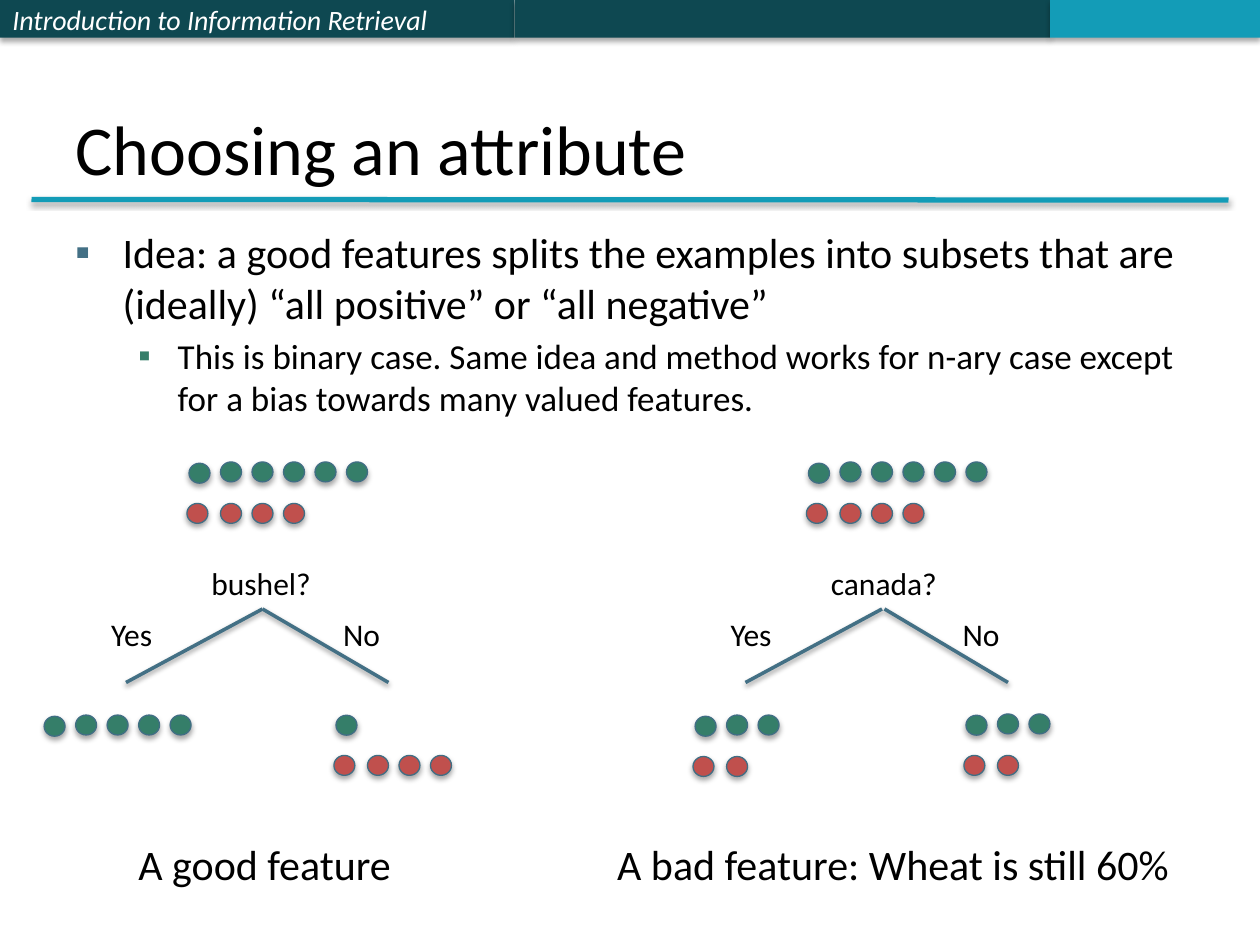
import pptx
import pptx.dml.color
import pptx.enum.shapes
import pptx.enum.text
import pptx.oxml
import pptx.oxml.ns
import pptx.util

ANCHOR = pptx.enum.text.MSO_ANCHOR
SHAPE = pptx.enum.shapes.MSO_SHAPE
COLORS = {
    "header": "0E4851",
    "accent": "139CB7",
    "positive": "357E69",
    "negative": "C0504D",
    "outline": "406E84",
    "branch": "437085",
    "text": "000000",
    "light": "FFFFFF",
}


class SlideBuilder:
    font_name = "Calibri"
    columns = 120
    rows = 90

    def __init__(self, deck):
        self.deck = deck
        self.page = deck.slides.add_slide(deck.slide_layouts[6])

    def x(self, column):
        return round(self.deck.slide_width * column / self.columns)

    def y(self, row):
        return round(self.deck.slide_height * row / self.rows)

    def frame(self, column, row, width, height):
        return self.x(column), self.y(row), self.x(width), self.y(height)

    def color(self, name):
        return pptx.dml.color.RGBColor.from_string(COLORS[name])

    def element(self, parent, tag, **attributes):
        child = pptx.oxml.parse_xml(f"<a:{tag} {pptx.oxml.ns.nsdecls('a')}/>")
        for key, value in attributes.items():
            child.set(key, str(value))
        parent.append(child)
        return child

    def shadow(self, effects, distance, opacity):
        outer = self.element(
            effects, "outerShdw", blurRad=pptx.util.Pt(3.1), dist=pptx.util.Pt(distance),
            dir=90 * 60000, rotWithShape=0)
        black = self.element(outer, "srgbClr", val="000000")
        self.element(black, "alpha", val=opacity * 1000)

    def shape(self, kind, frame, fill, outline=None):
        shape = self.page.shapes.add_shape(kind, *self.frame(*frame))
        shape.shadow.inherit = False
        shape.fill.solid()
        shape.fill.fore_color.rgb = self.color(fill)
        if outline:
            shape.line.color.rgb = self.color(outline)
            shape.line.width = pptx.util.Pt(0.75)
        else:
            shape.line.fill.background()
        effects = shape._element.spPr.find(pptx.oxml.ns.qn("a:effectLst"))
        self.shadow(effects, 1.8, 35)

    def line(self, start, end, color, weight):
        line = self.page.shapes.add_connector(
            pptx.enum.shapes.MSO_CONNECTOR.STRAIGHT,
            self.x(start[0]), self.y(start[1]), self.x(end[0]), self.y(end[1]))
        line.line.color.rgb = self.color(color)
        line.line.width = pptx.util.Pt(weight)
        self.shadow(self.element(line._element.spPr, "effectLst"), 1.6, 38)

    def style(self, para, size, color="text", italic=False):
        para.font.name = self.font_name
        para.font.size = pptx.util.Pt(size)
        para.font.italic = italic
        para.font.color.rgb = self.color(color)

    def text(self, words, frame, size, color="text", italic=False, anchor=ANCHOR.TOP):
        box = self.page.shapes.add_textbox(*self.frame(*frame))
        box.text_frame.word_wrap = True
        box.text_frame.vertical_anchor = anchor
        para = box.text_frame.paragraphs[0]
        para.text = words
        self.style(para, size, color, italic)

    def bullets(self, items, frame):
        box = self.page.shapes.add_textbox(*self.frame(*frame))
        box.text_frame.word_wrap = True
        for index, (words, size, bullet_color, margin, hanging) in enumerate(items):
            para = box.text_frame.paragraphs[0] if index == 0 else box.text_frame.add_paragraph()
            para.text = words
            para.level = index
            if index:
                para.space_before = pptx.util.Pt(size / 5)
            properties = para._p.get_or_add_pPr()
            properties.set("marL", str(self.x(margin)))
            properties.set("indent", str(-self.x(hanging)))
            tint = self.element(properties, "buClr")
            self.element(tint, "srgbClr", val=COLORS[bullet_color])
            self.element(properties, "buFont", typeface=self.font_name)
            self.element(properties, "buChar", char="▪")
            self.style(para, size)

    def dots(self, fill, count, column, row, first_shift):
        for index in range(count):
            across, down = first_shift if index == 0 else (0, 0)
            self.shape(SHAPE.OVAL, (column + 3 * index + across, row + down, 2, 1.9), fill, "outline")

    def examples(self, positive, negative, column, row):
        self.dots("positive", positive, column, row, (0, 0.12))
        self.dots("negative", negative, column, row + 3.95, (-0.2, 0))

    def tree(self, left, question, yes, no, yes_column, no_column, apex_gap):
        self.examples(6, 4, left + 18, 44)
        self.text(question, (left + 18.95, 53.1, 14, 4.8), 18)
        self.line((left + 25, 58), (left + 12, 65), "branch", 2)
        self.line((left + 25 + apex_gap, 58), (left + 37, 65), "branch", 2)
        self.text("Yes", (left + 9.4, 58, 7, 4.8), 18)
        self.text("No", (left + 31.5, 58, 7, 4.8), 18)
        self.examples(*yes, left + yes_column, 68.1)
        self.examples(*no, left + no_column, 68)


def main():
    deck = pptx.Presentation()
    deck.slide_width = pptx.util.Inches(10)
    deck.slide_height = pptx.util.Inches(7.5)
    slide = SlideBuilder(deck)

    for column, width, fill in ((0, 49, "header"), (49, 51, "header"), (100, 20, "accent")):
        slide.shape(SHAPE.RECTANGLE, (column, 0, width, 3.6), fill)
    slide.text("Introduction to Information Retrieval", (0, 0, 49, 3.6), 16,
               "light", italic=True, anchor=ANCHOR.MIDDLE)
    slide.line((3, 19), (117, 19.05), "accent", 3)
    slide.text("Choosing an attribute", (6, 3.6, 108, 15), 40, anchor=ANCHOR.BOTTOM)
    slide.bullets((
        ("Idea: a good features splits the examples into subsets that are "
         "(ideally) “all positive” or “all negative”", 24, "branch", 4.5, 4.5),
        ("This is binary case. Same idea and method works for n-ary case except "
         "for a bias towards many valued features.", 20, "positive", 9.75, 3.75),
    ), (6, 21, 108, 20))

    slide.tree(0, "bushel?", (5, 0), (1, 4), 4.2, 32, 0)
    slide.tree(59, "canada?", (3, 2), (3, 2), 7.2, 33, 0.24)
    slide.text("A good feature", (12, 79.3, 30, 6), 24)
    slide.text("A bad feature: Wheat is still 60%", (57.6, 79.3, 58, 6), 24)
    deck.save("out.pptx")


if __name__ == "__main__":
    main()
